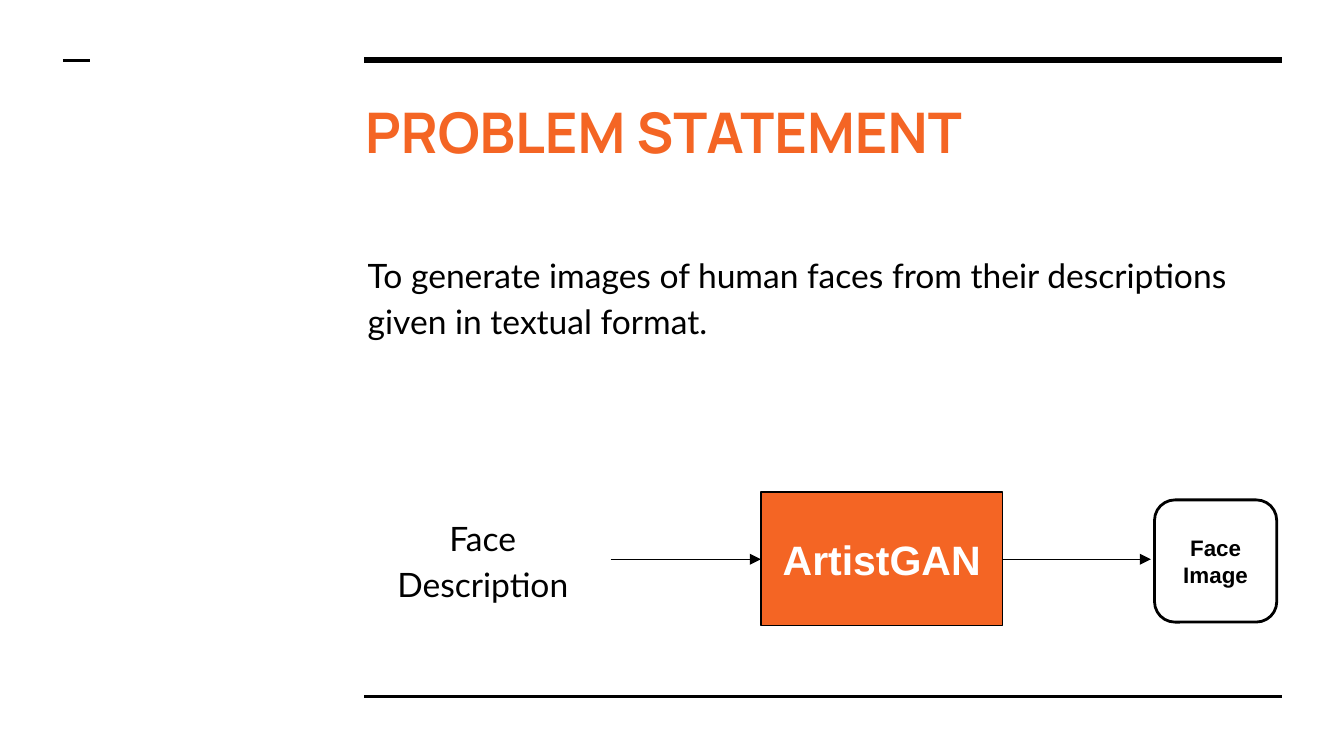
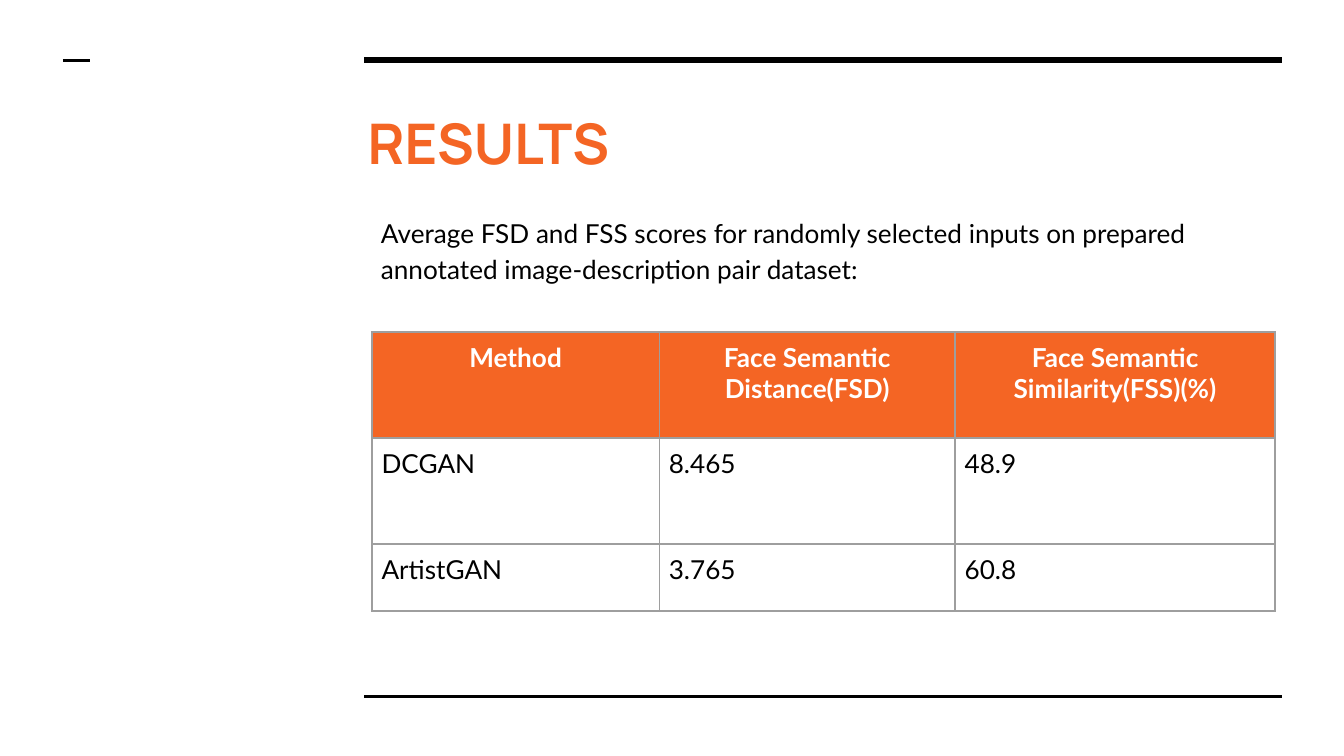
from lxml import etree
from pptx import Presentation
from pptx.dml.color import RGBColor
from pptx.enum.shapes import MSO_CONNECTOR, MSO_SHAPE
from pptx.enum.text import MSO_ANCHOR, MSO_AUTO_SIZE, PP_ALIGN
from pptx.oxml.ns import qn
from pptx.util import Cm, Pt

LEFT, CENTER = PP_ALIGN.LEFT, PP_ALIGN.CENTER
TOP, MIDDLE = MSO_ANCHOR.TOP, MSO_ANCHOR.MIDDLE
NO_AUTOFIT = MSO_AUTO_SIZE.NONE
STRAIGHT = MSO_CONNECTOR.STRAIGHT
PROCESS, ROUNDED = MSO_SHAPE.FLOWCHART_PROCESS, MSO_SHAPE.ROUNDED_RECTANGLE

COLORS = {
    "accent": "F46524",
    "ink": "000000",
    "paper": "FFFFFF",
    "grid": "9E9E9E",
}
TITLE_LAYOUT = 5
INSET = Cm(0.25)
CELL_INSET = Cm(0.18)
RULE_LEFT, RULE_RIGHT = 6.88, 24.23
TOP_RULE, BOTTOM_RULE = 1.14, 13.16


def color(name):
    return RGBColor.from_string(COLORS[name])


def write(frame, text, size=18, font="Lato", ink="ink", bold=False, align=LEFT,
          anchor=TOP, inset=INSET, spacing=1.0, after=0):
    frame.word_wrap = True
    frame.vertical_anchor = anchor
    frame.margin_left = frame.margin_right = inset
    frame.margin_top = frame.margin_bottom = inset
    paragraph = frame.paragraphs[0]
    paragraph.text = text
    paragraph.alignment = align
    paragraph.line_spacing = spacing
    paragraph.space_before = Pt(0)
    paragraph.space_after = Pt(after)
    paragraph.font.name = font
    paragraph.font.size = Pt(size)
    paragraph.font.bold = bold
    paragraph.font.color.rgb = color(ink)


def add_borders(cell, name, width):
    properties = cell._tc.get_or_add_tcPr()
    for side in ("a:lnL", "a:lnR", "a:lnT", "a:lnB"):
        line = etree.SubElement(properties, qn(side), w=str(Pt(width)))
        fill = etree.SubElement(line, qn("a:solidFill"))
        etree.SubElement(fill, qn("a:srgbClr"), val=COLORS[name])


class Deck:
    """Holds the shared style and the slide being filled."""

    def __init__(self):
        self.presentation = Presentation()
        self.presentation.slide_width = Cm(25.4)
        self.presentation.slide_height = Cm(14.29)
        self.slide = None

    def start_slide(self, title, left, top):
        layout = self.presentation.slide_layouts[TITLE_LAYOUT]
        self.slide = self.presentation.slides.add_slide(layout)
        background = self.slide.background.fill
        background.solid()
        background.fore_color.rgb = color("paper")
        self.line(RULE_LEFT, TOP_RULE, RULE_RIGHT, TOP_RULE, 3)
        self.line(RULE_LEFT, BOTTOM_RULE, RULE_RIGHT, BOTTOM_RULE, 1.5)
        self.line(1.19, TOP_RULE, 1.7, TOP_RULE, 1.5)
        shape = self.slide.shapes.title
        shape.left, shape.top = Cm(left), Cm(top)
        shape.width, shape.height = Cm(17.55), Cm(1.76)
        shape.text_frame.auto_size = NO_AUTOFIT
        write(shape.text_frame, title, size=30, font="Manrope", ink="accent", bold=True)

    def line(self, x1, y1, x2, y2, width, arrow=False):
        connector = self.slide.shapes.add_connector(
            STRAIGHT, Cm(x1), Cm(y1), Cm(x2), Cm(y2))
        connector.line.color.rgb = color("ink")
        connector.line.width = Pt(width)
        if arrow:
            etree.SubElement(connector.line._get_or_add_ln(), qn("a:tailEnd"),
                             type="triangle")
        etree.SubElement(connector._element.spPr, qn("a:effectLst"))

    def text(self, text, left, top, width, height, **style):
        box = self.slide.shapes.add_textbox(Cm(left), Cm(top), Cm(width), Cm(height))
        write(box.text_frame, text, spacing=1.15, **style)

    def node(self, kind, text, left, top, width, height, fill=None, border=0.75, **style):
        shape = self.slide.shapes.add_shape(
            kind, Cm(left), Cm(top), Cm(width), Cm(height))
        shape.shadow.inherit = False
        if fill:
            shape.fill.solid()
            shape.fill.fore_color.rgb = color(fill)
        else:
            shape.fill.background()
        shape.line.color.rgb = color("ink")
        shape.line.width = Pt(border)
        write(shape.text_frame, text, font="Arial", bold=True, align=CENTER,
              anchor=MIDDLE, **style)

    def table(self, rows, left, top, widths, heights):
        table = self.slide.shapes.add_table(
            len(rows), len(widths), Cm(left), Cm(top),
            Cm(sum(widths)), Cm(sum(heights))).table
        table.horz_banding = False
        for column, width in zip(table.columns, widths):
            column.width = Cm(width)
        for row, height in zip(table.rows, heights):
            row.height = Cm(height)
        for row_index, values in enumerate(rows):
            for column_index, value in enumerate(values):
                self.fill_cell(table.cell(row_index, column_index), value,
                               header=row_index == 0)

    def fill_cell(self, cell, value, header):
        add_borders(cell, "grid", 1)
        cell.margin_left = cell.margin_right = CELL_INSET
        cell.margin_top = cell.margin_bottom = CELL_INSET
        if header:
            cell.fill.solid()
            cell.fill.fore_color.rgb = color("accent")
        else:
            cell.fill.background()
        paragraph = cell.text_frame.paragraphs[0]
        paragraph.text = value
        paragraph.alignment = CENTER if header else LEFT
        paragraph.font.name = "Lato"
        paragraph.font.size = Pt(14)
        paragraph.font.bold = header
        paragraph.font.color.rgb = color("paper" if header else "ink")


def build_problem_statement(deck):
    deck.start_slide("PROBLEM STATEMENT", 6.65, 1.6)
    deck.text("To generate images of human faces from their descriptions "
              "given in textual format.", 6.7, 4.45, 17.55, 3.7, after=16)
    deck.text("Face Description", 6.7, 9.42, 4.85, 2.3, align=CENTER, after=16)
    flow_y = 10.57
    deck.line(11.54, flow_y, 14.38, flow_y, 0.75, arrow=True)
    deck.node(PROCESS, "ArtistGAN", 14.38, 9.3, 4.57, 2.52,
              fill="accent", size=22, ink="paper")
    deck.line(18.95, flow_y, 21.75, flow_y, 0.75, arrow=True)
    deck.node(ROUNDED, "Face Image", 21.82, 9.45, 2.31, 2.31, border=1.5, size=12)


def build_results(deck):
    deck.start_slide("RESULTS", 6.7, 1.8)
    deck.table(
        [
            ["Method", "Face Semantic Distance(FSD)", "Face Semantic Similarity(FSS)(%)"],
            ["DCGAN", "8.465", "48.9"],
            ["ArtistGAN", "3.765", "60.8"],
        ],
        7.03, 6.28, widths=[5.43, 5.59, 6.05], heights=[2, 2, 1.27])
    deck.text("Average FSD and FSS scores for randomly selected inputs on prepared "
              "annotated image-description pair dataset:",
              6.95, 3.78, 17.22, 1.78, size=14)


def main():
    deck = Deck()
    build_problem_statement(deck)
    build_results(deck)
    deck.presentation.save("out.pptx")


if __name__ == "__main__":
    main()
